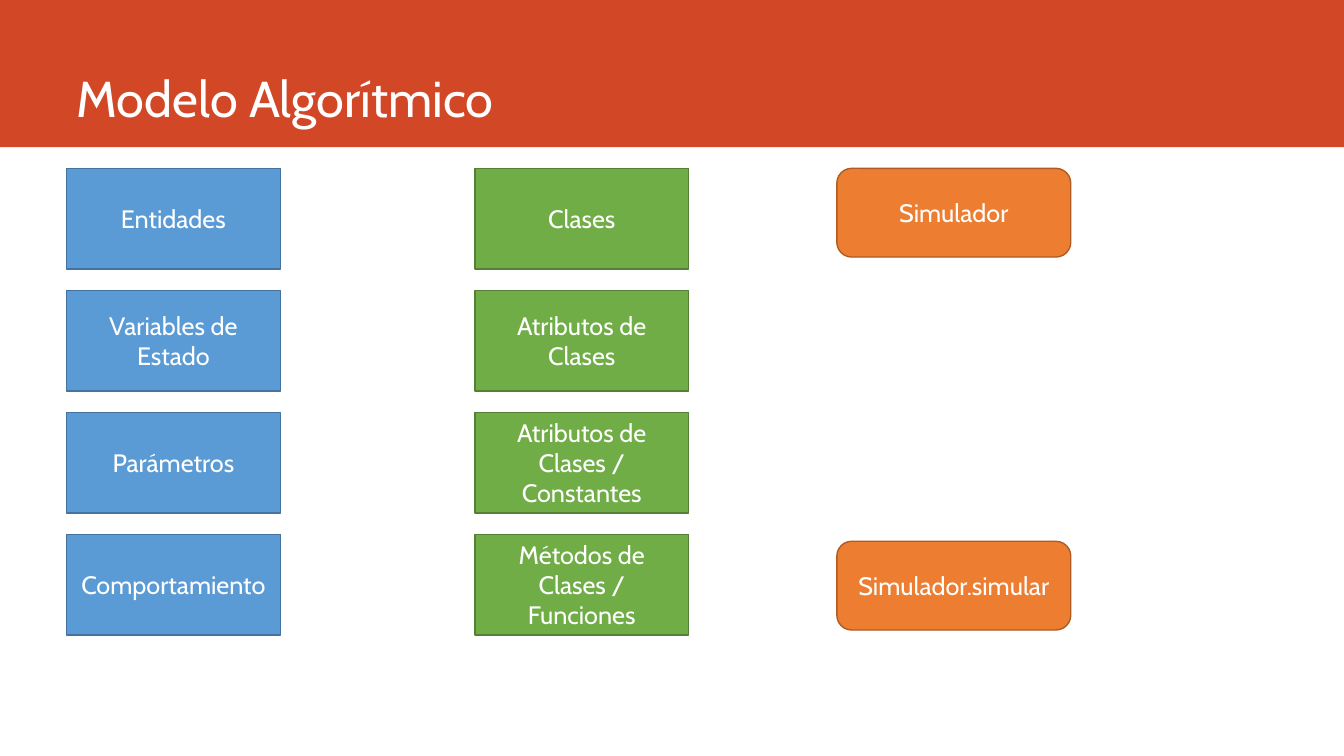
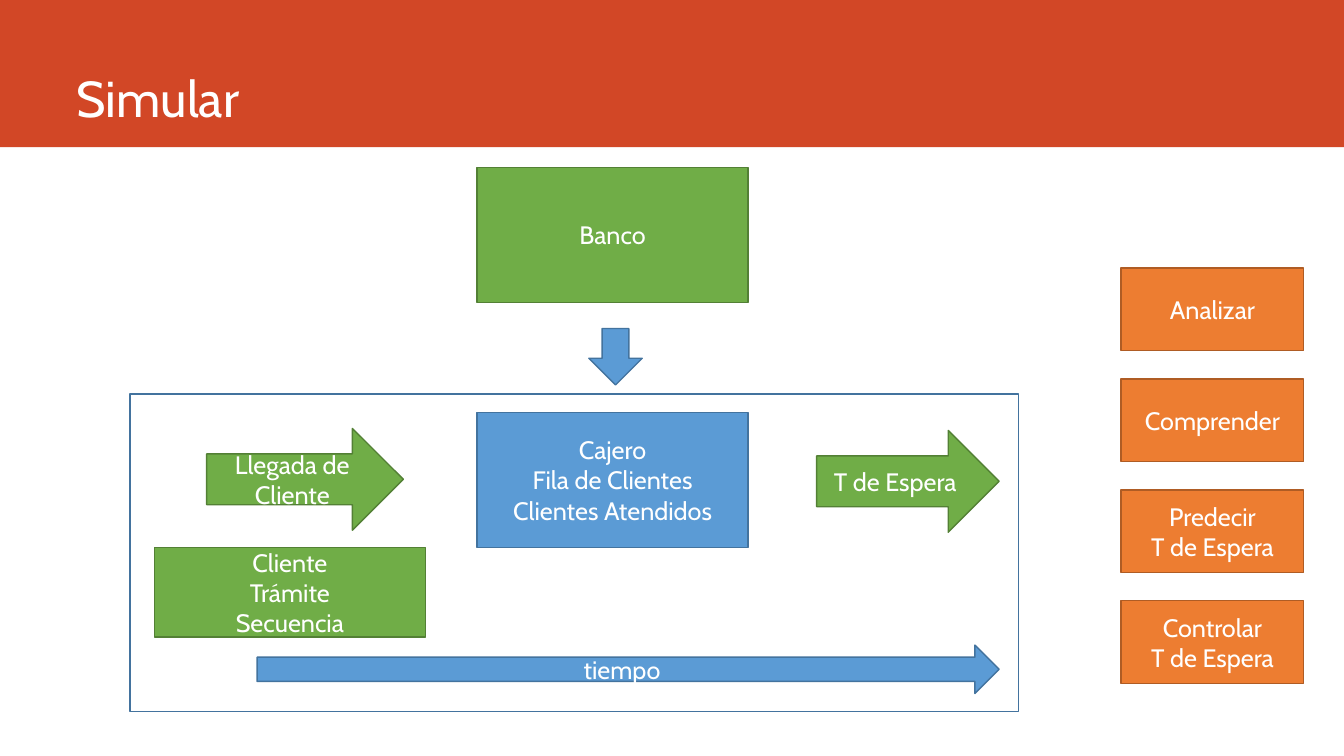
import pptx
import pptx.dml.color
import pptx.enum.shapes
import pptx.enum.text
import pptx.util

Inches = pptx.util.Inches
Pt = pptx.util.Pt
RGBColor = pptx.dml.color.RGBColor
Shape = pptx.enum.shapes.MSO_SHAPE
Align = pptx.enum.text.PP_ALIGN
Anchor = pptx.enum.text.MSO_ANCHOR

WHITE = RGBColor(0xFF, 0xFF, 0xFF)
RED = RGBColor(0xD2, 0x47, 0x26)
BLUE = RGBColor(0x5B, 0x9B, 0xD5)
DARK_BLUE = RGBColor(0x43, 0x73, 0x9E)
GREEN = RGBColor(0x70, 0xAD, 0x47)
DARK_GREEN = RGBColor(0x53, 0x80, 0x35)
ORANGE = RGBColor(0xED, 0x7D, 0x31)
DARK_ORANGE = RGBColor(0xAF, 0x5C, 0x24)
OUTLINES = {BLUE: DARK_BLUE, GREEN: DARK_GREEN, ORANGE: DARK_ORANGE}


class Deck:
    FONT = "Cabin"
    TITLE_SIZE = Pt(36)
    BODY_SIZE = Pt(18)
    TITLE_ONLY = 5

    def __init__(self):
        self.presentation = pptx.Presentation()
        self.presentation.slide_width = Inches(13.33)
        self.presentation.slide_height = Inches(7.5)
        self.slide = None

    def format_text(self, frame, size, alignment, anchor):
        frame.word_wrap = True
        frame.auto_size = pptx.enum.text.MSO_AUTO_SIZE.NONE
        frame.vertical_anchor = anchor
        for paragraph in frame.paragraphs:
            paragraph.alignment = alignment
            for run in paragraph.runs:
                run.font.name = self.FONT
                run.font.size = size
                run.font.color.rgb = WHITE

    def add_slide(self, heading):
        layout = self.presentation.slide_layouts[self.TITLE_ONLY]
        self.slide = self.presentation.slides.add_slide(layout)
        self.add_band()
        title = self.slide.shapes.title
        title.left, title.top = Inches(0.66), Inches(0)
        title.width, title.height = Inches(11.76), Inches(1.32)
        title.text_frame.text = heading
        self.format_text(title.text_frame, self.TITLE_SIZE, Align.LEFT, Anchor.BOTTOM)

    def add_band(self):
        """Draw the red header band behind the title."""
        band = self.slide.shapes.add_shape(
            Shape.RECTANGLE, 0, 0, self.presentation.slide_width, Inches(1.46))
        band.shadow.inherit = False
        band.fill.solid()
        band.fill.fore_color.rgb = RED
        band.line.fill.background()
        self.slide.shapes.title._element.addprevious(band._element)

    def add_block(self, left, top, width, height, fill, text="", kind=Shape.RECTANGLE):
        block = self.slide.shapes.add_shape(
            kind, Inches(left), Inches(top), Inches(width), Inches(height))
        block.shadow.inherit = False
        block.fill.solid()
        block.fill.fore_color.rgb = fill
        block.line.color.rgb = OUTLINES[fill]
        block.line.width = Pt(1)
        if text:
            block.text_frame.text = text
            self.format_text(block.text_frame, self.BODY_SIZE, Align.CENTER, Anchor.MIDDLE)

    def add_frame(self, left, top, width, height):
        frame = self.slide.shapes.add_shape(
            Shape.RECTANGLE, Inches(left), Inches(top), Inches(width), Inches(height))
        frame.shadow.inherit = False
        frame.fill.background()
        frame.line.color.rgb = DARK_BLUE
        frame.line.width = Pt(1)

    def add_column(self, left, top, width, height, pitch, fill, texts):
        """Stack equal blocks whose tops are one pitch apart."""
        for row, text in enumerate(texts):
            self.add_block(left, top + row * pitch, width, height, fill, text)


def build_algorithmic_model(deck):
    deck.add_slide("Modelo Algorítmico")
    concepts = ["Entidades", "Variables de Estado", "Parámetros", "Comportamiento"]
    code_parts = ["Clases", "Atributos de Clases",
                  "Atributos de Clases /\nConstantes", "Métodos de Clases /\nFunciones"]
    for left, fill, texts in ((0.66, BLUE, concepts), (4.71, GREEN, code_parts)):
        deck.add_column(left, 1.67, 2.12, 1, 1.21, fill, texts)
    for top, text in ((1.67, "Simulador"), (5.37, "Simulador.simular")):
        deck.add_block(8.3, top, 2.32, 0.88, ORANGE, text, Shape.ROUNDED_RECTANGLE)


def build_simulation(deck):
    deck.add_slide("Simular")
    deck.add_block(4.73, 1.66, 2.69, 1.34, GREEN, "Banco")
    deck.add_block(5.84, 3.26, 0.53, 0.56, BLUE, kind=Shape.DOWN_ARROW)
    deck.add_frame(1.29, 3.91, 8.81, 3.15)
    deck.add_block(4.73, 4.09, 2.69, 1.34, BLUE,
                   "Cajero\nFila de Clientes\nClientes Atendidos")
    deck.add_block(2.05, 4.25, 1.95, 1.01, GREEN, "Llegada de Cliente", Shape.RIGHT_ARROW)
    deck.add_block(8.1, 4.27, 1.81, 1.01, GREEN, "T de Espera", Shape.RIGHT_ARROW)
    deck.add_block(1.53, 5.43, 2.69, 0.89, GREEN, "Cliente\nTrámite\nSecuencia")
    deck.add_block(2.55, 6.4, 7.36, 0.48, BLUE, "tiempo", Shape.RIGHT_ARROW)
    goals = ["Analizar", "Comprender", "Predecir\nT de Espera", "Controlar\nT de Espera"]
    deck.add_column(11.12, 2.66, 1.81, 0.82, 1.1, ORANGE, goals)


def main():
    deck = Deck()
    build_algorithmic_model(deck)
    build_simulation(deck)
    deck.presentation.save("out.pptx")


if __name__ == "__main__":
    main()
